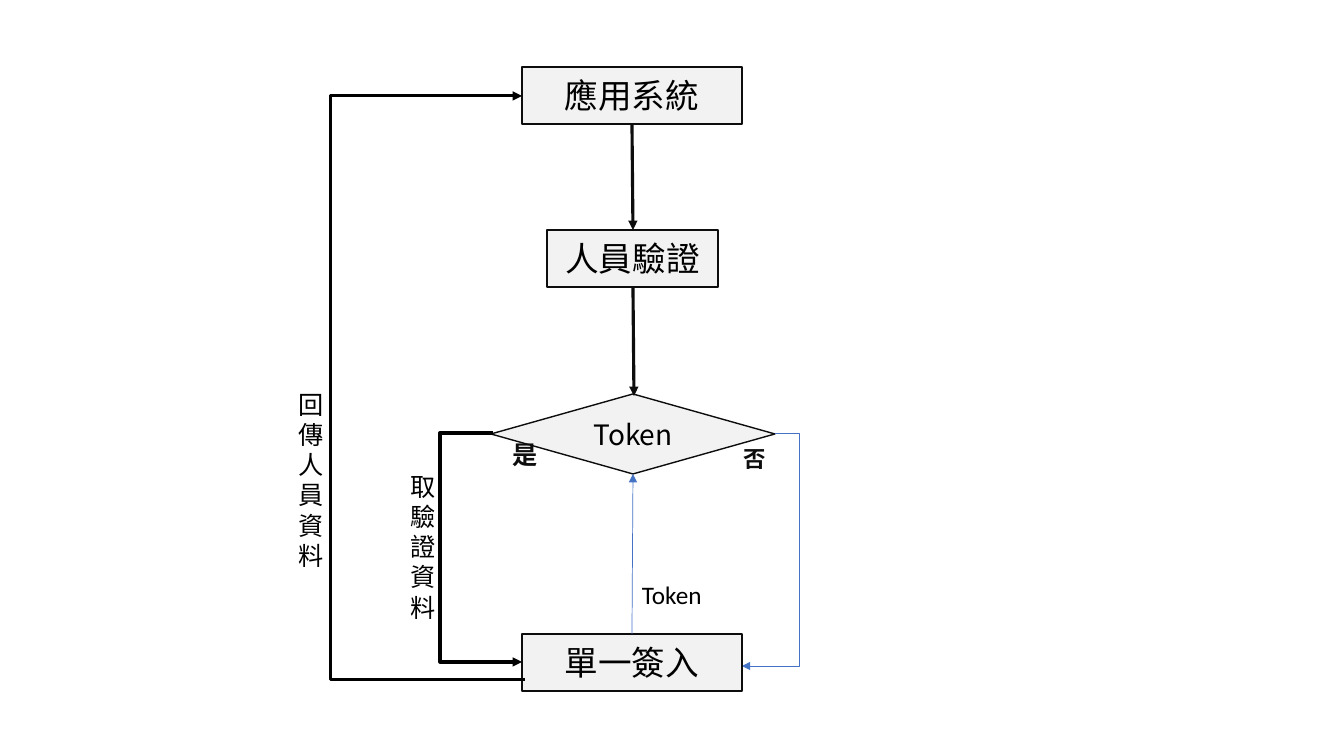
"""Build a flowchart slide of single sign-on with a token check."""
import pptx
import pptx.dml.color
import pptx.enum.shapes
import pptx.enum.text
import pptx.oxml
import pptx.oxml.ns
import pptx.util

PX = 12192000 // 1344
CJK_FONT = "Noto Sans CJK SC"
LATIN_FONT = "Calibri"
BLACK, INK, PALE, BLUE = "000000", "0D0D0D", "F2F2F2", "4472C4"
SHAPES = pptx.enum.shapes.MSO_SHAPE
CONNECTORS = pptx.enum.shapes.MSO_CONNECTOR


def px(*lengths):
    """Turn pixel lengths into EMU."""
    return [pptx.util.Emu(round(length * 12192000 / 1344)) for length in lengths]


def paint(color_format, color):
    """Give a colour format its hex colour."""
    color_format.rgb = pptx.dml.color.RGBColor.from_string(color)


def add_element(parent, tag, **attributes):
    """Append a DrawingML element to a parent."""
    child = pptx.oxml.parse_xml(f"<{tag} {pptx.oxml.ns.nsdecls('a')}/>")
    for name, value in attributes.items():
        child.set(name, value)
    parent.append(child)


def write(frame, text, size, color=BLACK, font=CJK_FONT, bold=False):
    """Write one run into the first paragraph of a frame."""
    frame.word_wrap = True
    span = frame.paragraphs[0].add_run()
    span.text = text
    span.font.size = pptx.util.Pt(size)
    span.font.bold = bold
    paint(span.font.color, color)
    span.font.name = font
    add_element(span.font._element, "a:ea", typeface=CJK_FONT)


def add_step(page, kind, bounds, text, size):
    """Add a flowchart node with centred text."""
    node = page.shapes.add_shape(kind, *px(*bounds))
    node.shadow.inherit = False
    node.fill.solid()
    paint(node.fill.fore_color, PALE)
    paint(node.line.color, INK)
    node.line.width = pptx.util.Pt(1)
    node.text_frame.vertical_anchor = pptx.enum.text.MSO_ANCHOR.MIDDLE
    write(node.text_frame, text, size)
    node.text_frame.paragraphs[0].alignment = pptx.enum.text.PP_ALIGN.CENTER


def add_label(page, bounds, text, size, **style):
    """Add a text label."""
    box = page.shapes.add_textbox(*px(*bounds))
    write(box.text_frame, text, size, **style)
    box.text_frame.auto_size = pptx.enum.text.MSO_AUTO_SIZE.SHAPE_TO_FIT_TEXT


def add_arrow(page, start, end, color, width, bend=None):
    """Add an arrow, straight or turning at the horizontal position bend."""
    kind = CONNECTORS.STRAIGHT if bend is None else CONNECTORS.ELBOW
    arrow = page.shapes.add_connector(kind, *px(*start, *end))
    paint(arrow.line.color, color)
    arrow.line.width = pptx.util.Pt(width)
    add_element(arrow.line._get_or_add_ln(), "a:tailEnd", type="triangle")
    properties = arrow._element.spPr
    add_element(properties, "a:effectLst")
    if bend is not None:
        share = round(100000 * (bend - start[0]) / (end[0] - start[0]))
        guides = properties.prstGeom.get_or_add_avLst()
        add_element(guides, "a:gd", name="adj1", fmla=f"val {share}")


def main():
    """Build and save the slide."""
    deck = pptx.Presentation()
    deck.slide_width, deck.slide_height = px(1344, 756)
    page = deck.slides.add_slide(deck.slide_layouts[6])

    add_step(page, SHAPES.RECTANGLE, (522, 67, 220, 57), "應用系統", 24)
    add_step(page, SHAPES.RECTANGLE, (547, 230, 171, 57), "人員驗證", 24)
    add_arrow(page, (632, 124), (633, 230), INK, 2.25)
    add_step(page, SHAPES.DIAMOND, (491, 394, 284, 80), "Token", 20)
    add_arrow(page, (633, 287), (634, 396), INK, 2.25)
    add_label(page, (503, 434, 44, 40), "是", 18, color=INK, bold=True)
    add_label(page, (734, 440, 107, 37), "否", 16, color=INK, bold=True)
    add_arrow(page, (775, 433), (742, 666), BLUE, 0.5, bend=799)
    add_step(page, SHAPES.RECTANGLE, (522, 634, 220, 57), "單一簽入", 24)
    add_label(page, (632, 574, 99, 40), "Token", 18, font=LATIN_FONT)
    add_arrow(page, (632, 634), (633, 474), BLUE, 0.5)
    add_arrow(page, (493, 433), (522, 662), BLACK, 2.25, bend=440)
    add_label(page, (401, 466, 53, 163), "取驗證資料", 18, font=LATIN_FONT)
    add_arrow(page, (525, 680), (522, 96), BLACK, 2.25, bend=332)
    add_label(page, (289, 384, 53, 194), "回傳人員資料", 18, font=LATIN_FONT)

    deck.save("out.pptx")


if __name__ == "__main__":
    main()
